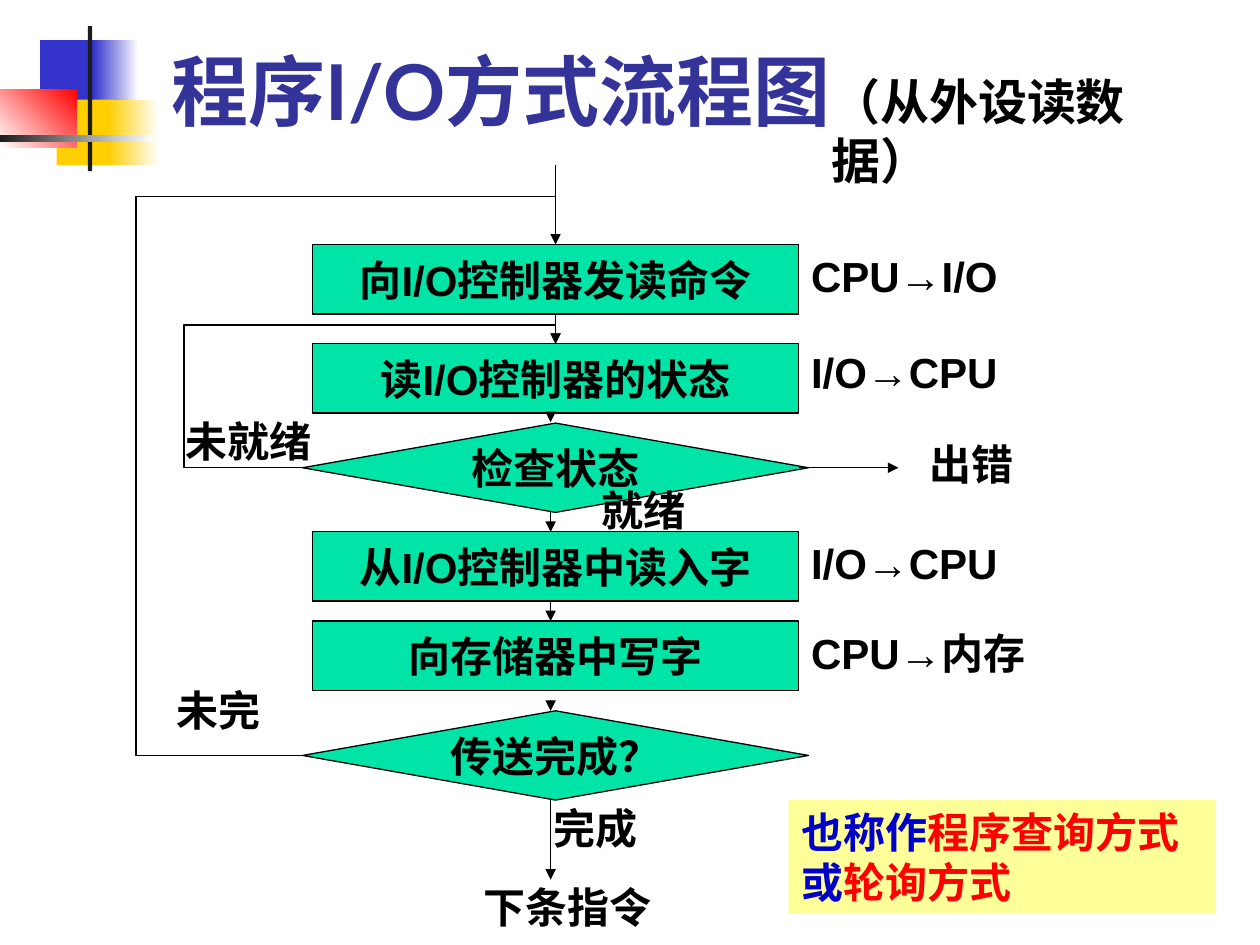
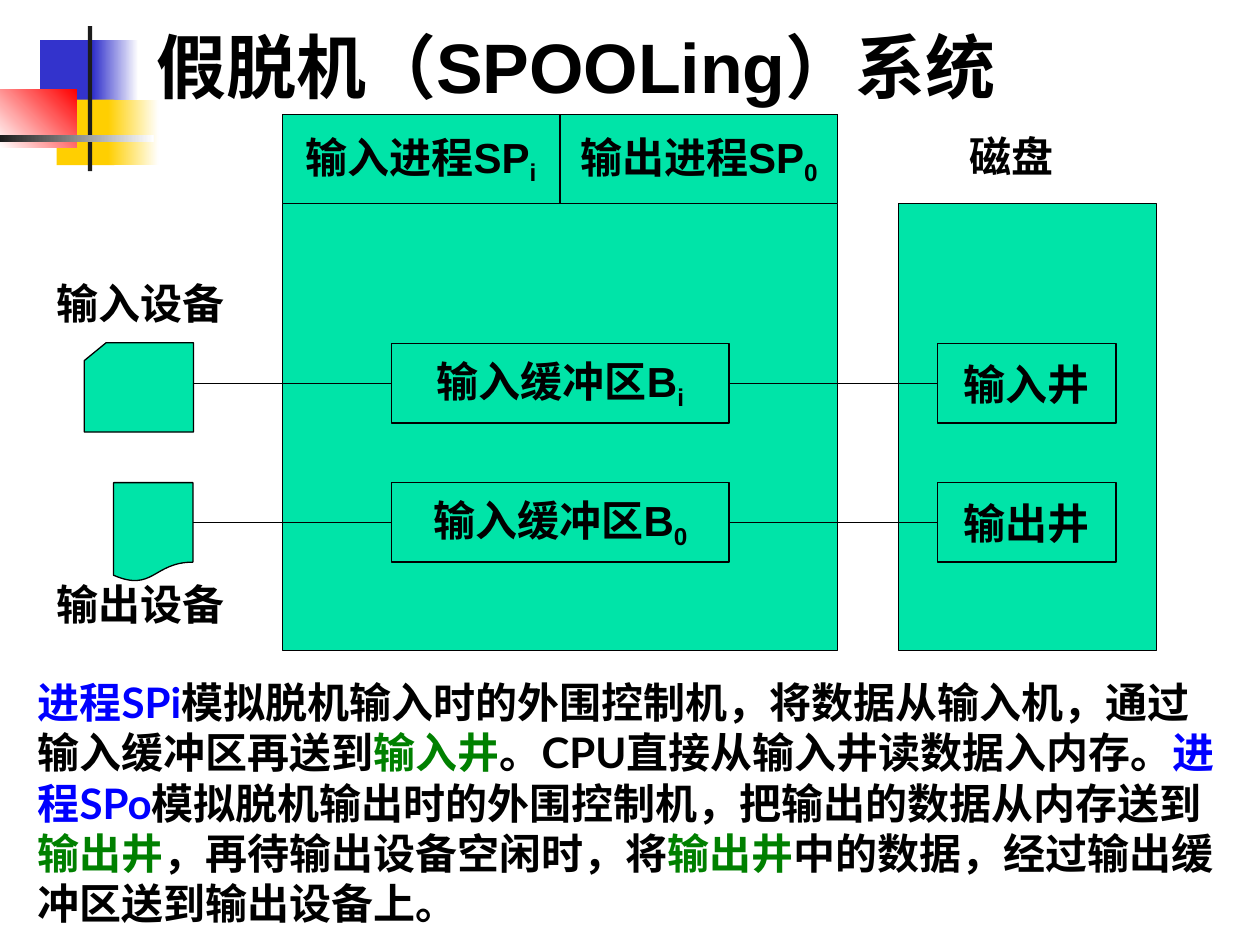
from lxml.etree import SubElement
from pptx import Presentation
from pptx.dml.color import RGBColor
from pptx.enum.shapes import MSO_CONNECTOR, MSO_SHAPE
from pptx.enum.text import MSO_ANCHOR, MSO_AUTO_SIZE, PP_ALIGN
from pptx.oxml.ns import qn
from pptx.util import Cm, Pt

color = RGBColor.from_string
BLACK, WHITE, GREEN = "000000", "FFFFFF", "00E4A8"
BLUE, YELLOW, DARK = "3333CC", "FFCF01", "1C1C1C"
RED, WELL_GREEN, LINK_BLUE = "FF0000", "008000", "0000FF"


def add_box(slide, at, runs=(), kind=None, fill=GREEN, outline=BLACK,
            size=24, font="Arial", wrap=False):
    """Add a preset shape with centred text, or a plain label when kind is None.

    Each run is (text, colour) or (text, colour, baseline in 1/1000 percent).
    """
    lengths = [Cm(value) for value in at]
    if kind is None:
        box = slide.shapes.add_textbox(*lengths)
    else:
        box = slide.shapes.add_shape(kind, *lengths)
        box.shadow.inherit = False
        if fill:
            box.fill.solid()
            box.fill.fore_color.rgb = color(fill)
        if outline:
            box.line.color.rgb = color(outline)
            box.line.width = Pt(0.75)
        else:
            box.line.fill.background()
    if runs:
        frame = box.text_frame
        frame.word_wrap = wrap
        frame.vertical_anchor = MSO_ANCHOR.MIDDLE if kind else MSO_ANCHOR.TOP
        paragraph = frame.paragraphs[0]
        paragraph.alignment = PP_ALIGN.CENTER if kind else PP_ALIGN.LEFT
        paragraph.font.name, paragraph.font.size, paragraph.font.bold = font, Pt(size), True
        for text, ink, *baseline in runs:
            run = paragraph.add_run()
            run.text = text
            run.font.color.rgb = color(ink)
            if baseline:
                run.font.fill  # the run properties now exist
                box.element.findall(".//" + qn("a:rPr"))[-1].set("baseline", str(baseline[0]))
    return box


def add_line(slide, start, end, arrow=False, kind=MSO_CONNECTOR.STRAIGHT):
    line = slide.shapes.add_connector(kind, *[Cm(value) for value in (*start, *end)])
    line.line.color.rgb = color(BLACK)
    line.line.width = Pt(0.75)
    properties = line.element.spPr
    if arrow:
        SubElement(properties.find(qn("a:ln")), qn("a:tailEnd"), type="triangle")
    SubElement(properties, qn("a:effectLst"))
    return line


prs = Presentation()
prs.slide_width, prs.slide_height = Cm(25.4), Cm(19.05)
layout = prs.slide_layouts[5]

# Titles
slides = []
for title_text, at, size, font, ink in [
    ("程序I/O方式流程图", (3.2, 0.71, 21.64, 2.16), 44, "Lato", "333399"),
    ("假脱机（SPOOLing）系统", (2.9, 0.33, 21.64, 1.96), 40, "Arial", BLACK),
]:
    slide = prs.slides.add_slide(layout)
    title = slide.shapes.title
    title.left, title.top, title.width, title.height = [Cm(value) for value in at]
    title.text_frame.text = title_text
    title.text_frame.auto_size = MSO_AUTO_SIZE.NONE
    title.text_frame.vertical_anchor = MSO_ANCHOR.BOTTOM
    heading = title.text_frame.paragraphs[0]
    heading.alignment = PP_ALIGN.LEFT
    heading.font.name, heading.font.size, heading.font.bold = font, Pt(size), True
    heading.font.color.rgb = color(ink)
    slides.append(slide)
flow, spooling = slides

# Corner ornament, moved to the layout so that both slides share it
layout_tree = layout.placeholders[0].element.getparent()
ornament = [
    ((0.81, 0.81, 1.22, 1.32), BLUE, None, 0),
    ((1.88, 0.81, 0.91, 1.32), BLUE, WHITE, 0),
    ((1.14, 2.01, 1.17, 1.32), YELLOW, None, 0),
    ((2.18, 2.01, 1.02, 1.32), YELLOW, WHITE, 0),
    ((0, 1.8, 1.55, 1.17), WHITE, RED, 45),
    ((1.77, 0.53, 0.09, 2.92), DARK, None, 0),
    ((0, 2.72, 3.1, 0.15), DARK, WHITE, 0),
]
for index, (at, first, last, angle) in enumerate(ornament):
    tile = add_box(flow, at, kind=MSO_SHAPE.RECTANGLE, fill=first, outline=None)
    if last:
        tile.fill.gradient()
        tile.fill.gradient_angle = angle
        for stop, ink in zip(tile.fill.gradient_stops, (first, last)):
            stop.color.rgb = color(ink)
    tile.element.nvSpPr.cNvPr.set("id", str(20 + index))
    layout_tree.insert(2 + index, tile.element)

# Slide 1: flow chart
steps = [
    add_box(flow, (6.3, top, 9.8, 1.4), [(text, BLACK)], MSO_SHAPE.RECTANGLE)
    for top, text in [
        (4.93, "向I/O控制器发读命令"),
        (6.93, "读I/O控制器的状态"),
        (10.72, "从I/O控制器中读入字"),
        (12.52, "向存储器中写字"),
    ]
]
for top, text in [(8.53, "检查状态"), (14.33, "传送完成？")]:
    add_box(flow, (6.1, top, 10.2, 1.8), [(text, BLACK)], MSO_SHAPE.DIAMOND)

add_line(flow, (16.1, 9.43), (18.11, 9.43), arrow=True)
command_to_status = add_line(flow, (11.2, 6.33), (11.2, 6.93), arrow=True)
command_to_status.begin_connect(steps[0], 2)
command_to_status.end_connect(steps[1], 0)
for top, bottom in [(8.33, 8.51), (10.33, 10.72), (12.12, 12.52), (14.12, 14.33), (16.13, 17.73)]:
    add_line(flow, (11.1, top), (11.1, bottom), arrow=True)
add_line(flow, (11.2, 4.72), (11.2, 3.33))

# Loops back: left from a diamond, up, then right and down into a step
for start_y, end_y, via_x, via_y in [(15.23, 4.93, 2.74, 3.96), (9.43, 6.93, 3.71, 6.55)]:
    loop = add_line(flow, (6.1, start_y), (11.2, end_y), True, MSO_CONNECTOR.ELBOW)
    properties = loop.element.spPr
    frame = properties.find(qn("a:xfrm"))
    frame.attrib.pop("flipV")
    frame.set("rot", "10800000")
    frame.set("flipH", "1")
    geometry = properties.find(qn("a:prstGeom"))
    geometry.set("prst", "bentConnector4")
    guides = geometry.find(qn("a:avLst"))
    if guides is None:
        guides = SubElement(geometry, qn("a:avLst"))
    ratios = ((via_x - 6.1) / 5.1, (start_y - via_y) / (start_y - end_y))
    for name, ratio in zip(("adj1", "adj2"), ratios):
        SubElement(guides, qn("a:gd"), name=name, fmla=f"val {round(ratio * 100000)}")

for left, top, width, text in [
    (18.49, 8.71, 2.39, "出错"),
    (10.9, 16.05, 2.39, "完成"),
    (16.1, 4.93, 4.8, "CPU→I/O"),
    (16.1, 6.86, 4.8, "I/O→CPU"),
    (16.1, 10.72, 4.8, "I/O→CPU"),
    (16.1, 12.52, 5, "CPU→内存"),
    (3.3, 13.67, 2.39, "未完"),
    (3.5, 8.26, 3.2, "未就绪"),
    (9.5, 17.65, 3.99, "下条指令"),
    (11.88, 9.65, 2.82, "就绪"),
]:
    add_box(flow, (left, top, width, 1.27), [(text, BLACK)], wrap=True)
add_box(flow, (16.51, 1.32, 8.38, 1.45), [("（从外设读数据）", BLACK)], size=28)
also_called = add_box(flow, (15.9, 16.13, 8.61, 2.29), [
    ("也称作", "0000CC"), ("程序查询方式", RED), ("或", "0000CC"), ("轮询方式", RED),
], wrap=True)
also_called.fill.solid()
also_called.fill.fore_color.rgb = color("FFFF99")

# Slide 2: memory, disk and devices
add_box(spooling, (5.69, 2.31, 11.2, 10.8), kind=MSO_SHAPE.RECTANGLE)
for column, (text, index) in enumerate([("输入进程SP", "i"), ("输出进程SP", "0")]):
    add_box(spooling, (5.69 + 5.6 * column, 2.31, 5.6, 1.8),
            [(text, BLACK), (index, BLACK, -20000)], MSO_SHAPE.RECTANGLE)
add_box(spooling, (18.11, 4.11, 5.2, 9), kind=MSO_SHAPE.RECTANGLE)
add_box(spooling, (2.29, 9.73, 1.6, 2), kind=MSO_SHAPE.FLOWCHART_DOCUMENT)
add_box(spooling, (1.7, 6.91, 2.2, 1.8), kind=MSO_SHAPE.FLOWCHART_CARD)

for top, index, well_text in [(6.93, "i", "输入井"), (9.73, "0", "输出井")]:
    middle = top + 0.8
    buffer = add_box(spooling, (7.9, top, 6.8, 1.6),
                     [("输入缓冲区B", BLACK), (index, BLACK, -20000)], MSO_SHAPE.RECTANGLE)
    well = add_box(spooling, (18.9, top, 3.6, 1.6), [(well_text, BLACK)], MSO_SHAPE.RECTANGLE)
    add_line(spooling, (3.89, middle), (7.9, middle)).end_connect(buffer, 1)
    buffer_to_well = add_line(spooling, (14.7, middle), (18.9, middle))
    buffer_to_well.begin_connect(buffer, 3)
    buffer_to_well.end_connect(well, 1)

for left, top, width, text in [
    (0.89, 5.46, 4.19, "输入设备"),
    (0.89, 11.53, 4.19, "输出设备"),
    (19.3, 2.51, 2.39, "磁盘"),
]:
    add_box(spooling, (left, top, width, 1.27), [(text, BLACK)], wrap=True)

add_box(spooling, (0.51, 13.51, 24.41, 5.33), [
    ("进程SPi", LINK_BLUE),
    ("模拟脱机输入时的外围控制机，将数据从输入机，通过输入缓冲区再送到", BLACK),
    ("输入井", WELL_GREEN),
    ("。CPU直接从输入井读数据入内存。", BLACK),
    ("进程SPo", LINK_BLUE),
    ("模拟脱机输出时的外围控制机，把输出的数据从内存送到", BLACK),
    ("输出井", WELL_GREEN),
    ("，再待输出设备空闲时，将", BLACK),
    ("输出井", WELL_GREEN),
    ("中的数据，经过输出缓冲区送到输出设备上。", BLACK),
], font="Lato", wrap=True)

prs.save("out.pptx")
